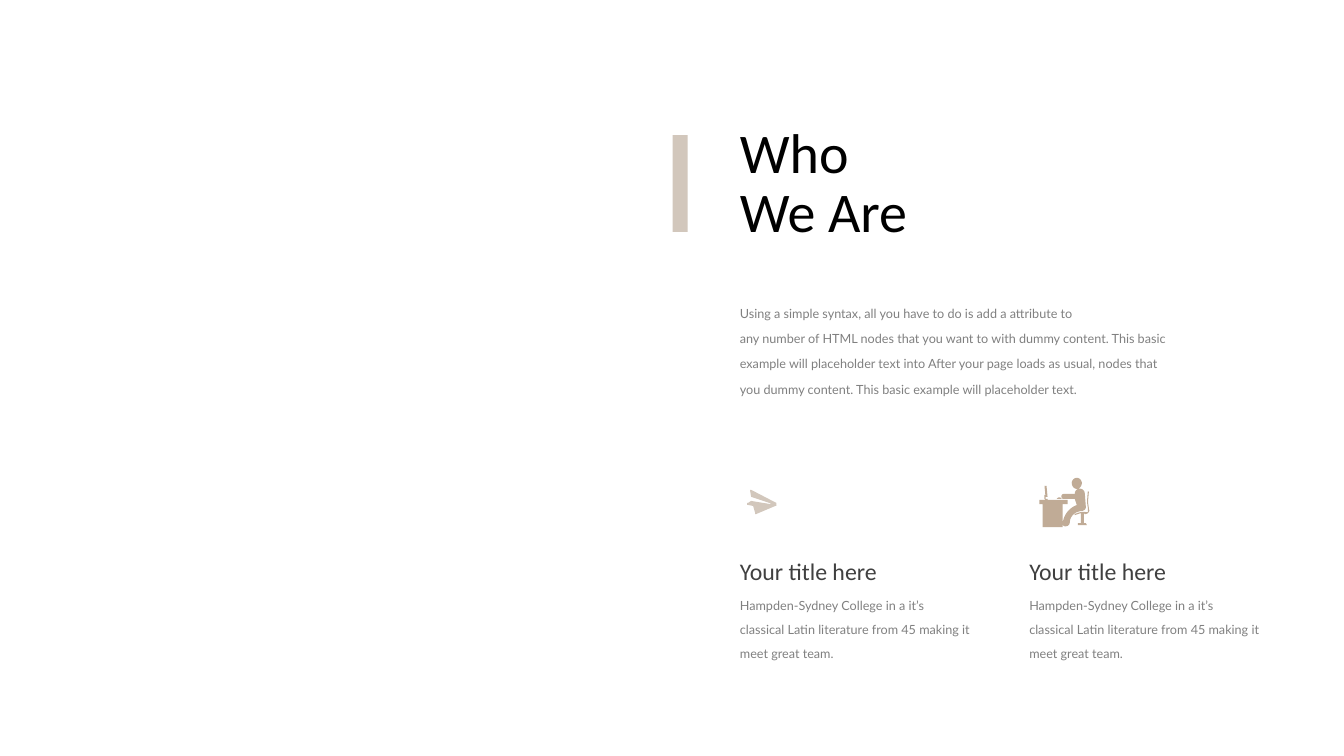
from dataclasses import dataclass

from pptx import Presentation
from pptx.dml.color import RGBColor
from pptx.enum.shapes import MSO_SHAPE
from pptx.enum.text import MSO_ANCHOR, MSO_AUTO_SIZE
from pptx.shapes.autoshape import Shape
from pptx.slide import Slide
from pptx.util import Inches, Pt

RECTANGLE = MSO_SHAPE.RECTANGLE
TOP, MIDDLE = MSO_ANCHOR.TOP, MSO_ANCHOR.MIDDLE
GROW = MSO_AUTO_SIZE.SHAPE_TO_FIT_TEXT


@dataclass(frozen=True)
class TextStyle:
    font: str
    size: float
    color: str
    line_spacing: float | None = None
    anchor: MSO_ANCHOR = TOP


@dataclass(frozen=True)
class Theme:
    background: str = "FFFFFF"
    sand: str = "D2C7BC"
    tan: str = "C0AB96"
    heading: TextStyle = TextStyle("Calibri", 40, "000000", 42)
    intro: TextStyle = TextStyle("Lato", 9, "808080", 18, MIDDLE)
    card_title: TextStyle = TextStyle("Calibri", 17, "404040")
    card_body: TextStyle = TextStyle("Lato", 9, "808080", 17)


@dataclass(frozen=True)
class Box:
    left: float
    top: float
    width: float
    height: float


@dataclass(frozen=True)
class Card:
    left: float
    title: str
    body: list[str]


# An outline step has two numbers for a line and six for a cubic curve.
Step = tuple[float, ...]
Outline = list[Step]

THEME = Theme()
TEXT_LEFT = 7.24
CARD_PITCH = 2.87
CURVE_STEPS = 10

CARD_BODY = [
    "Hampden-Sydney College in a it’s",
    "classical Latin literature from 45 making it meet great team.",
]
CARDS = [Card(TEXT_LEFT + column * CARD_PITCH, "Your title here", CARD_BODY) for column in range(2)]

PAPER_PLANE: list[Outline] = [
    [(7.70, 5.00), (7.70, 4.99), (7.45, 4.86), (7.44, 4.86), (7.44, 4.87), (7.45, 4.93),
     (7.63, 4.99), (7.64, 4.99), (7.64, 5.00), (7.63, 5.00), (7.45, 4.97), (7.42, 4.99),
     (7.41, 4.99), (7.41, 5.01), (7.42, 5.01), (7.47, 5.02), (7.49, 5.09), (7.49, 5.10),
     (7.50, 5.10), (7.69, 5.02), (7.70, 5.02)],
]

HEAD: Outline = [
    (10.68, 4.74),
    (10.71, 4.74, 10.73, 4.77, 10.73, 4.79),
    (10.73, 4.82, 10.71, 4.85, 10.68, 4.85),
    (10.65, 4.85, 10.63, 4.82, 10.63, 4.79),
    (10.63, 4.77, 10.65, 4.74, 10.68, 4.74),
]
BODY: Outline = [
    (10.77, 5.03), (10.76, 4.90),
    (10.76, 4.83, 10.66, 4.83, 10.66, 4.90),
    (10.55, 4.90),
    (10.52, 4.90, 10.52, 4.95, 10.55, 4.95),
    (10.66, 4.95), (10.68, 5.01),
    (10.60, 5.04, 10.55, 5.11, 10.54, 5.19),
    (10.54, 5.20),
    (10.54, 5.23, 10.60, 5.23, 10.61, 5.19),
    (10.61, 5.13, 10.65, 5.08, 10.72, 5.07),
    (10.74, 5.07, 10.77, 5.06, 10.77, 5.03),
]
CHAIR: Outline = [
    (10.80, 5.05), (10.80, 5.04),
    (10.79, 4.98, 10.79, 4.98, 10.80, 4.88),
    (10.79, 4.87),
    (10.78, 4.98, 10.78, 4.98, 10.79, 5.04),
    (10.79, 5.08), (10.77, 5.08),
    (10.72, 5.07, 10.66, 5.10, 10.66, 5.10),
    (10.66, 5.11), (10.72, 5.09), (10.72, 5.19), (10.69, 5.19), (10.69, 5.21),
    (10.78, 5.21), (10.77, 5.19), (10.75, 5.19), (10.75, 5.09), (10.76, 5.10),
    (10.76, 5.10, 10.78, 5.10, 10.79, 5.09),
    (10.80, 5.08, 10.81, 5.07, 10.80, 5.05),
]
DESK: Outline = [(10.31, 4.96), (10.59, 4.96), (10.59, 5.00), (10.54, 5.00),
                 (10.54, 5.23), (10.34, 5.23), (10.34, 5.00), (10.31, 5.00)]
SCREEN: Outline = [(10.36, 4.82), (10.38, 4.82), (10.39, 4.93), (10.37, 4.93)]
SCREEN_STAND: Outline = [(10.36, 4.91), (10.37, 4.91), (10.37, 4.95), (10.39, 4.95),
                         (10.39, 4.96), (10.37, 4.96), (10.36, 4.95)]
MOUSE: Outline = [(10.48, 4.95), (10.49, 4.94),
                  (10.50, 4.93, 10.52, 4.93, 10.53, 4.95)]
DESK_WORKER = [HEAD, BODY, CHAIR, DESK, SCREEN, SCREEN_STAND, MOUSE]


def paint(shape: Shape, color: str) -> None:
    shape.shadow.inherit = False
    shape.fill.solid()
    shape.fill.fore_color.rgb = RGBColor.from_string(color)
    shape.line.fill.background()


def add_text(slide: Slide, box: Box, lines: list[str], style: TextStyle) -> None:
    text_box = slide.shapes.add_textbox(
        Inches(box.left), Inches(box.top), Inches(box.width), Inches(box.height))
    frame = text_box.text_frame
    frame.word_wrap = True
    frame.auto_size = GROW
    frame.vertical_anchor = style.anchor
    frame.text = "\n".join(lines)
    for paragraph in frame.paragraphs:
        paragraph.font.name = style.font
        paragraph.font.size = Pt(style.size)
        paragraph.font.color.rgb = RGBColor.from_string(style.color)
        if style.line_spacing is not None:
            paragraph.line_spacing = Pt(style.line_spacing)


def flatten(outline: Outline) -> list[tuple[int, int]]:
    """Turn lines and cubic curves into a list of points in EMU."""
    points = [outline[0]]
    for step in outline[1:]:
        if len(step) == 2:
            points.append(step)
            continue
        controls = [points[-1], step[:2], step[2:4], step[4:]]
        for index in range(1, CURVE_STEPS + 1):
            t = index / CURVE_STEPS
            weights = ((1 - t) ** 3, 3 * t * (1 - t) ** 2, 3 * t * t * (1 - t), t ** 3)
            points.append(tuple(
                sum(weight * control[axis] for weight, control in zip(weights, controls))
                for axis in range(2)))
    return [(Inches(x), Inches(y)) for x, y in points]


def add_icon(slide: Slide, outlines: list[Outline], color: str) -> None:
    first, *others = [flatten(outline) for outline in outlines]
    builder = slide.shapes.build_freeform(*first[0])
    builder.add_line_segments(first[1:], close=True)
    for points in others:
        builder.move_to(*points[0])
        builder.add_line_segments(points[1:], close=True)
    paint(builder.convert_to_shape(), color)


def add_card(slide: Slide, card: Card) -> None:
    add_text(slide, Box(card.left, 5.47, 2.51, 0.39), [card.title], THEME.card_title)
    add_text(slide, Box(card.left, 5.8, 2.51, 0.78), card.body, THEME.card_body)


def main() -> None:
    presentation = Presentation()
    presentation.slide_width = Inches(13.33)
    presentation.slide_height = Inches(7.5)
    slide = presentation.slides.add_slide(presentation.slide_layouts[6])
    slide.background.fill.solid()
    slide.background.fill.fore_color.rgb = RGBColor.from_string(THEME.background)

    add_text(slide, Box(TEXT_LEFT, 1.2, 3.77, 1.29), ["Who", "We Are"], THEME.heading)
    add_text(slide, Box(TEXT_LEFT, 2.9, 4.56, 1.07), [
        "Using a simple syntax, all you have to do is add a attribute to",
        "any number of HTML nodes that you want to with dummy content. This basic example "
        "will placeholder text into After your page loads as usual, nodes that you dummy "
        "content. This basic example will placeholder text.",
    ], THEME.intro)
    accent_bar = slide.shapes.add_shape(
        RECTANGLE, Inches(6.67), Inches(1.34), Inches(0.15), Inches(0.96))
    paint(accent_bar, THEME.sand)

    add_icon(slide, DESK_WORKER, THEME.tan)
    add_icon(slide, PAPER_PLANE, THEME.sand)
    for card in CARDS:
        add_card(slide, card)
    presentation.save("out.pptx")


if __name__ == "__main__":
    main()
